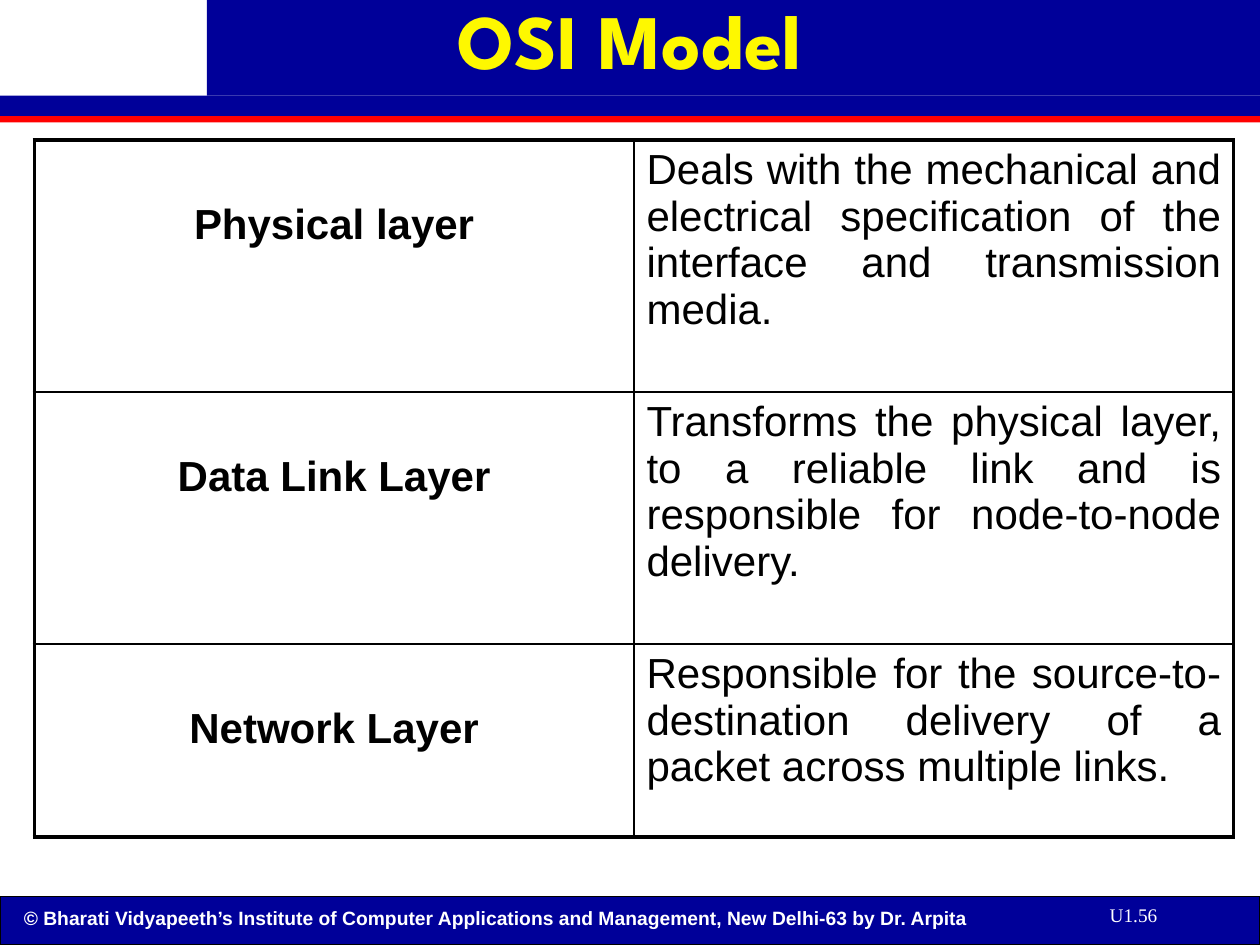
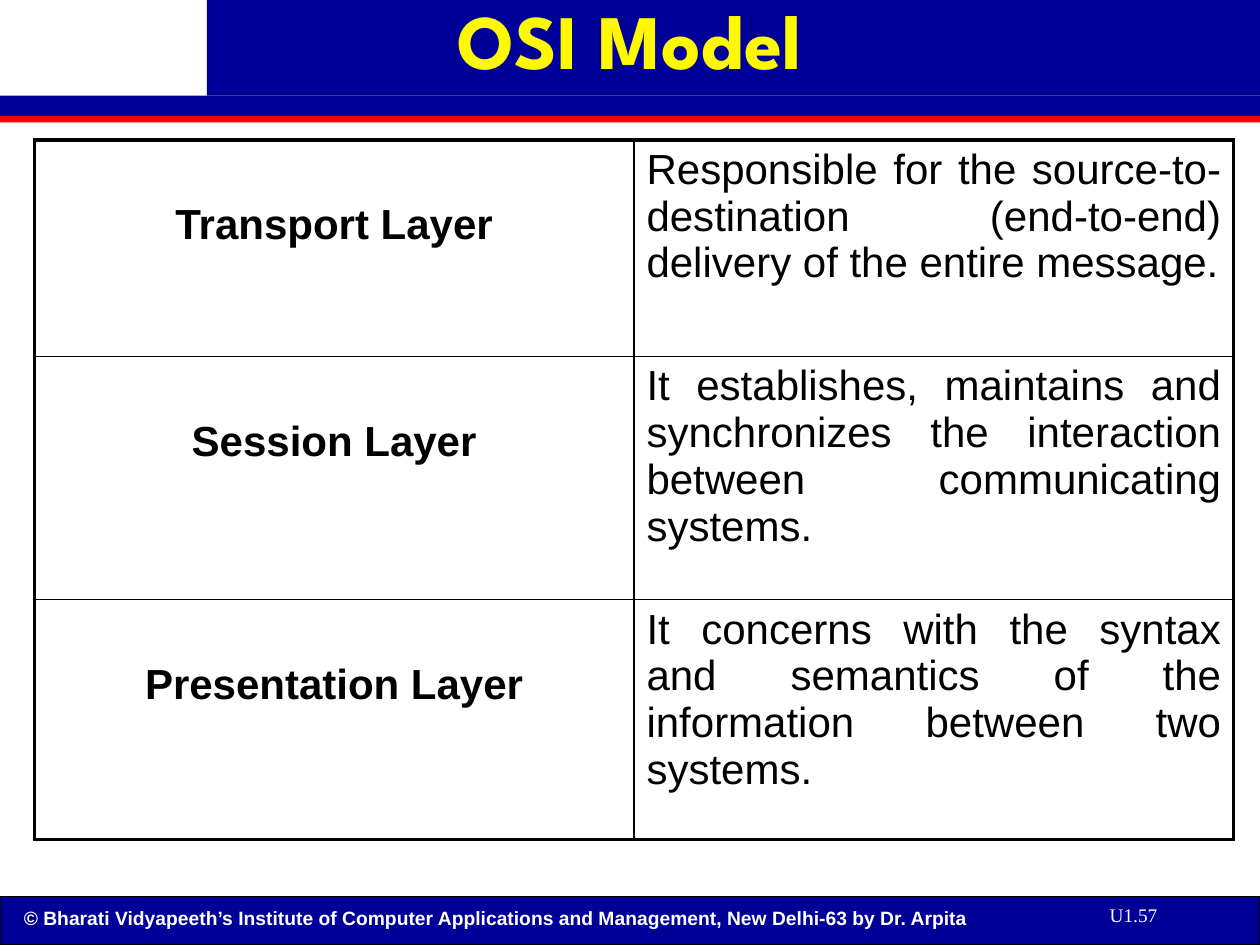
import pptx
import pptx.util
import pptx.dml.color
import pptx.enum.shapes
import pptx.enum.text
import pptx.oxml.ns
from lxml import etree

Cm, Pt = pptx.util.Cm, pptx.util.Pt
ALIGN = pptx.enum.text.PP_ALIGN

TITLE = "OSI Model"
COPYRIGHT = ("© Bharati Vidyapeeth’s Institute of Computer Applications and Management, "
             "New Delhi-63 by Dr. Arpita")
FIRST_PAGE = 56
LAYER_SLIDES = [
    [
        ("Physical layer", "Deals with the mechanical and electrical specification of the "
                           "interface and transmission media.", 5.08),
        ("Data Link Layer", "Transforms the physical layer, to a reliable link and is "
                            "responsible for node-to-node delivery.", 5.08),
        ("Network Layer", "Responsible for the source-to-destination delivery of a packet "
                          "across multiple links.", 3.89),
    ],
    [
        ("Transport Layer", "Responsible for the source-to-destination (end-to-end) delivery "
                            "of the entire message.", 4.37),
        ("Session Layer", "It establishes, maintains and synchronizes the interaction "
                          "between communicating systems.", 4.9),
        ("Presentation Layer", "It concerns with the syntax and semantics of the information "
                               "between two systems.", 4.83),
    ],
]

COLOURS = {"navy": "000099", "red": "FF0000", "yellow": "FEF800",
           "black": "000000", "white": "FFFFFF"}
WIDTH, HEIGHT = 25.4, 19.05
FOOTER_TOP = 18.08
LOGO_WIDTH, LOGO_HEIGHT = 4.17, 1.93
RULE_TOP, RULE_HEIGHT = 2.34, 0.13
TABLE_LEFT, TABLE_TOP, COLUMN_WIDTH = 0.69, 2.82, 12.09
LABEL_DROP = 1.24
OUTER_LINE, INNER_LINE = 2.25, 1

BANDS = [
    (0, FOOTER_TOP, WIDTH, HEIGHT - FOOTER_TOP, "navy", "black"),
    (0, RULE_TOP, WIDTH, RULE_HEIGHT, "red", None),
    (LOGO_WIDTH, 0, WIDTH - LOGO_WIDTH, LOGO_HEIGHT, "navy", None),
    (0, LOGO_HEIGHT, WIDTH, RULE_TOP - LOGO_HEIGHT, "navy", None),
]


def rgb(colour):
    return pptx.dml.color.RGBColor.from_string(COLOURS[colour])


def add_run(paragraph, text, size, font, colour, bold=False):
    run = paragraph.add_run()
    run.text = text
    run.font.size = Pt(size)
    run.font.name = font
    run.font.bold = bold
    run.font.color.rgb = rgb(colour)


def add_band(slide, left, top, width, height, fill, outline):
    band = slide.shapes.add_shape(pptx.enum.shapes.MSO_SHAPE.RECTANGLE,
                                  Cm(left), Cm(top), Cm(width), Cm(height))
    band.shadow.inherit = False
    band.fill.solid()
    band.fill.fore_color.rgb = rgb(fill)
    if outline:
        band.line.color.rgb = rgb(outline)
        band.line.width = Pt(0.75)
    else:
        band.line.fill.background()


def add_footer_text(slide, left, top, width, text, font, bold):
    footer = slide.shapes.add_textbox(Cm(left), Cm(top), Cm(width), Cm(0.71))
    footer.text_frame.word_wrap = True
    add_run(footer.text_frame.paragraphs[0], text, 11, font, "white", bold)


def place_title(slide):
    title = slide.shapes.title
    title.left, title.top, title.width, title.height = Cm(1.27), Cm(0), Cm(22.86), Cm(1.78)
    title.element.getparent().append(title.element)
    frame = title.text_frame
    frame.margin_left = frame.margin_right = Cm(0.18)
    frame.margin_top = frame.margin_bottom = Cm(0.08)
    frame.vertical_anchor = pptx.enum.text.MSO_ANCHOR.TOP
    frame.auto_size = pptx.enum.text.MSO_AUTO_SIZE.SHAPE_TO_FIT_TEXT
    heading = frame.paragraphs[0]
    heading.alignment = ALIGN.CENTER
    heading.line_spacing = 0.88
    add_run(heading, TITLE, 44, "League Spartan", "yellow", True)


def set_borders(cell, widths):
    properties = cell._tc.get_or_add_tcPr()
    for side, width in widths.items():
        edge = etree.SubElement(properties, pptx.oxml.ns.qn("a:ln" + side), w=str(Pt(width)))
        fill = etree.SubElement(edge, pptx.oxml.ns.qn("a:solidFill"))
        etree.SubElement(fill, pptx.oxml.ns.qn("a:srgbClr"), val=COLOURS["black"])


def add_layer_table(slide, layers):
    total = sum(height for _, _, height in layers)
    table = slide.shapes.add_table(len(layers), 2, Cm(TABLE_LEFT), Cm(TABLE_TOP),
                                   Cm(2 * COLUMN_WIDTH), Cm(total)).table
    table.first_row = table.horz_banding = False
    last = len(layers) - 1
    for row, (layer, duty, height) in enumerate(layers):
        table.rows[row].height = Cm(height)
        for column, (text, alignment) in enumerate([(layer, ALIGN.CENTER), (duty, ALIGN.JUSTIFY)]):
            cell = table.cell(row, column)
            is_label = column == 0
            set_borders(cell, {
                "L": OUTER_LINE if is_label else INNER_LINE,
                "R": INNER_LINE if is_label else OUTER_LINE,
                "T": OUTER_LINE if row == 0 else INNER_LINE,
                "B": OUTER_LINE if row == last else INNER_LINE,
            })
            cell.fill.background()
            if is_label:
                cell.margin_top = Cm(LABEL_DROP)
            paragraph = cell.text_frame.paragraphs[0]
            paragraph.alignment = alignment
            add_run(paragraph, text, 24, "Arial", "black", is_label)


def main():
    deck = pptx.Presentation()
    deck.slide_width, deck.slide_height = Cm(WIDTH), Cm(HEIGHT)
    for page, layers in enumerate(LAYER_SLIDES, FIRST_PAGE):
        slide = deck.slides.add_slide(deck.slide_layouts[5])
        for band in BANDS:
            add_band(slide, *band)
        add_footer_text(slide, 0.23, 18.14, 23.32, COPYRIGHT, "Arial", True)
        add_footer_text(slide, 22.12, 18.08, 3.28, f"U1.{page}", "Times New Roman", False)
        place_title(slide)
        add_layer_table(slide, layers)
    deck.save("out.pptx")


if __name__ == "__main__":
    main()
